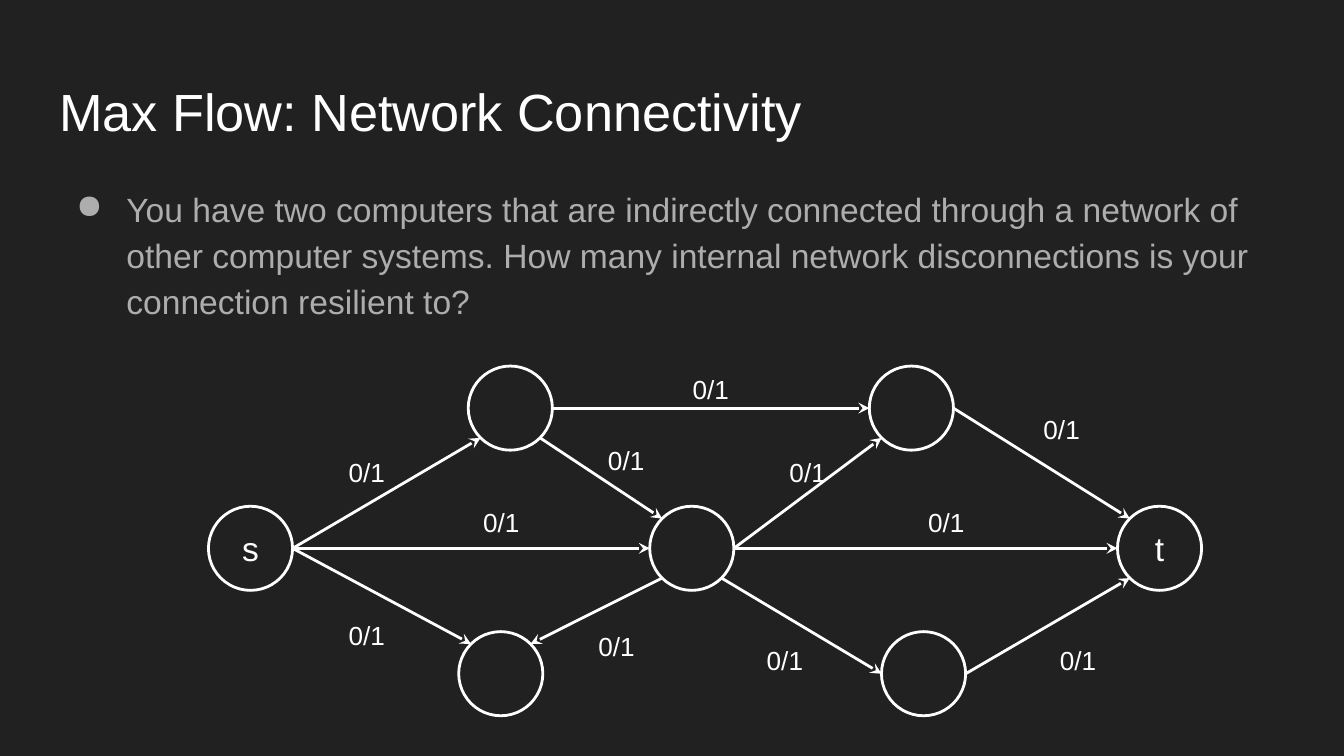
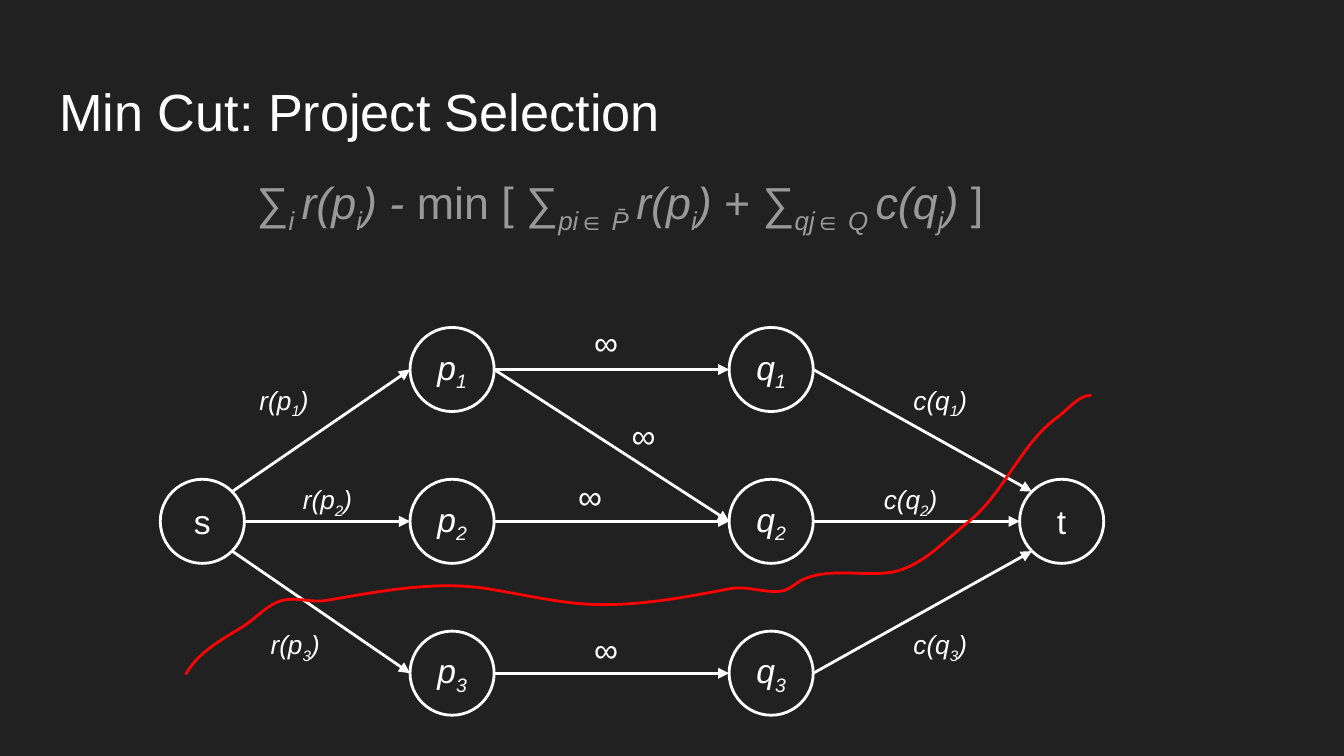
from math import cos, sin, pi
from lxml.etree import SubElement as Sub
from pptx import Presentation as Deck
from pptx.dml.color import RGBColor as RGB
from pptx.enum.shapes import MSO_CONNECTOR as Link, MSO_SHAPE as Kind
from pptx.enum.text import MSO_ANCHOR as Anchor, PP_ALIGN as Align
from pptx.oxml.ns import qn
from pptx.util import Cm, Pt

DARK = RGB(0x21, 0x21, 0x21)
WHITE = RGB(0xFF, 0xFF, 0xFF)
PALE = RGB(0xAD, 0xAD, 0xAD)
GRAY = RGB(0x99, 0x99, 0x99)
RED = RGB(0xFF, 0x00, 0x00)

SIZE = 1.59
INSET = Cm(0.25)
FRAME = {"word_wrap": True, "margin_left": INSET, "margin_right": INSET,
         "margin_top": INSET, "margin_bottom": INSET}
TURN = {"E": 0, "SE": 1, "SW": 3, "W": 4, "NW": 5, "NE": 7}


def assign(item, form):
    for key, value in form.items():
        setattr(item, key, value)


def write(shape, runs, size, color=WHITE, align=Align.LEFT, anchor=Anchor.TOP):
    frame = shape.text_frame
    assign(frame, {**FRAME, "vertical_anchor": anchor})
    para = frame.paragraphs[0]
    para.alignment = align
    for text, marks in runs:
        run = para.add_run()
        run.text = text
        assign(run.font, {"name": "Arial", "size": Pt(size), "italic": "i" in marks})
        run.font.color.rgb = color
        if "_" in marks:
            run.font._element.set("baseline", "-25000")
    return para


def put(shapes, box, runs, size, **form):
    return write(shapes.add_textbox(*map(Cm, box)), runs, size, **form)


def lower(head, num, tail=""):
    runs = [(head, "i"), (str(num), "i_")]
    return runs + [(tail, "i")] if tail else runs


def start(deck, title):
    slide = deck.slides.add_slide(deck.slide_layouts[6])
    slide.background.fill.solid()
    slide.background.fill.fore_color.rgb = DARK
    put(slide.shapes, (0.87, 1.24, 23.67, 1.59), [(title, "")], 28)
    return slide.shapes


def bullet(para):
    para.line_spacing = 1.15
    props = para._p.get_or_add_pPr()
    props.set("marL", str(Cm(1.27)))
    props.set("indent", str(Cm(-0.95)))
    Sub(Sub(props, qn("a:buClr")), qn("a:srgbClr"), val=str(PALE))
    Sub(props, qn("a:buChar"), char="●")


def stroke(item, color=WHITE):
    item.line.color.rgb = color
    item.line.width = Pt(1.5)


def node(group, spot, runs):
    disc = group.add_shape(Kind.OVAL, *map(Cm, (*spot, SIZE, SIZE)))
    disc.shadow.inherit = False
    disc.fill.background()
    stroke(disc)
    if runs:
        write(disc, runs, 18, align=Align.CENTER, anchor=Anchor.MIDDLE)


def rim(spot, side):
    angle = TURN[side] * pi / 4
    half = SIZE / 2
    return (Cm(spot[0] + half + half * cos(angle)),
            Cm(spot[1] + half + half * sin(angle)))


def edge(group, tail, head, tip):
    line = group.add_connector(Link.STRAIGHT, *rim(*tail), *rim(*head))
    stroke(line)
    Sub(line.line._get_or_add_ln(), qn("a:tailEnd"), type=tip)
    Sub(line._element.spPr, qn("a:effectLst"))


def graph(shapes, nodes, edges, tip):
    group = shapes.add_group_shape().shapes
    for spot, runs in nodes.values():
        node(group, spot, runs)
    for a, out, b, into in edges:
        edge(group, (nodes[a][0], out), (nodes[b][0], into), tip)
    return group


def curve(shapes, points):
    first, *rest = [tuple(map(Cm, point)) for point in points]
    pen = shapes.build_freeform(*first)
    pen.add_line_segments(rest, close=False)
    wave = pen.convert_to_shape()
    wave.shadow.inherit = False
    wave.fill.background()
    stroke(wave, RED)
    trail = next(wave._element.iter(qn("a:path")))
    for i, leg in enumerate(trail.findall(qn("a:lnTo"))):
        if i % 3 == 0:
            bend = Sub(trail, qn("a:cubicBezTo"))
        bend.append(leg[0])
        trail.remove(leg)


def flow(deck):
    shapes = start(deck, "Max Flow: Network Connectivity")
    text = ("You have two computers that are indirectly connected through a network "
            "of other computer systems. How many internal network disconnections "
            "is your connection resilient to?")
    bullet(put(shapes, (0.87, 3.2, 23.67, 3.23), [(text, "")], 18, color=PALE))
    high, mid, low = 6.92, 9.57, 11.94
    nodes = {
        "s": ((3.94, mid), [("s", "")]),
        "a": ((8.85, high), []),
        "b": ((8.67, low), []),
        "c": ((12.28, mid), []),
        "d": ((16.43, high), []),
        "e": ((16.66, low), []),
        "t": ((21.12, mid), [("t", "")]),
    }
    edges = [
        ("s", "E", "a", "SW"), ("s", "E", "c", "W"), ("a", "SE", "c", "NW"),
        ("a", "E", "d", "W"), ("c", "SW", "b", "NE"), ("c", "SE", "e", "W"),
        ("c", "E", "d", "SW"), ("e", "E", "t", "SW"), ("d", "E", "t", "NW"),
        ("c", "E", "t", "W"), ("s", "E", "b", "NW"),
    ]
    group = graph(shapes, nodes, edges, "stealth")
    spots = [
        (6.3, 8.38), (8.84, 9.32), (6.3, 11.46), (11.02, 11.66),
        (12.8, 6.81), (19.43, 7.57), (14.63, 8.38), (17.25, 9.32),
        (14.2, 11.94), (19.74, 11.94), (11.2, 8.15),
    ]
    for spot in spots:
        put(group, (*spot, 1.27, 0.79), [("0/1", "")], 14, align=Align.CENTER)


def cut(deck):
    shapes = start(deck, "Min Cut: Project Selection")
    rows = [6.19 + 2.87 * i for i in range(3)]
    nodes = {"s": ((3.03, rows[1]), [("s", "")]),
             "t": ((19.27, rows[1]), [("t", "")])}
    edges = [("p1", "E", "q2", "W")]
    ends = [("NE", "NW"), ("E", "W"), ("SE", "SW")]
    for num, (top, (out, into)) in enumerate(zip(rows, ends), 1):
        p, q = f"p{num}", f"q{num}"
        nodes[p] = ((7.75, top), lower("p", num))
        nodes[q] = ((13.78, top), lower("q", num))
        edges += [("s", out, p, "W"), (p, "E", q, "W"), (q, "E", "t", into)]
    group = graph(shapes, nodes, edges, "triangle")
    for spot in [(10.54, 5.84), (11.25, 7.59), (10.24, 8.74), (10.54, 11.63)]:
        put(group, (*spot, 1.83, 1.3), [("∞", "")], 18, align=Align.CENTER)
    spots = [(4.39, 16.79, 7.01), (5.21, 16.23, 8.89), (4.6, 16.79, 11.63)]
    for num, (left, right, top) in enumerate(spots, 1):
        for head, x in (("r(p", left), ("c(q", right)):
            put(group, (x, top, 1.96, 0.79), lower(head, num, ")"), 14,
                align=Align.CENTER)
    sums = [
        ("∑", ""), ("i ", "i_"), *lower("r(p", "i", ") - "),
        ("min [ ∑", ""), ("pi∈ P̄ ", "i_"), *lower("r(p", "i", ")"),
        (" + ∑", ""), ("qj∈ Q ", "i_"), *lower("c(q", "j", ")"), (" ]", ""),
    ]
    put(shapes, (4.6, 3.05, 15.49, 1.8), sums, 24, color=GRAY)
    curve(shapes, [
        (3.51, 12.75),
        (3.73, 12.34), (4.19, 12.09), (4.6, 11.84),
        (4.85, 11.68), (5.05, 11.43), (5.33, 11.35),
        (5.59, 11.28), (5.89, 11.4), (6.17, 11.35),
        (7.16, 11.18), (8.23, 10.97), (9.22, 11.13),
        (9.96, 11.25), (10.67, 11.43), (11.4, 11.43),
        (12.22, 11.43), (13, 11.28), (13.79, 11.13),
        (14.1, 11.07), (14.4, 11.2), (14.71, 11.18),
        (14.88, 11.18), (15.01, 11.05), (15.14, 10.97),
        (15.65, 10.72), (16.28, 10.9), (16.84, 10.82),
        (17.42, 10.72), (17.86, 10.21), (18.31, 9.86),
        (18.97, 9.32), (19.28, 8.43), (19.94, 7.92),
        (20.17, 7.77), (20.37, 7.47), (20.62, 7.47),
    ])


def main():
    deck = Deck()
    assign(deck, {"slide_width": Cm(25.4), "slide_height": Cm(14.29)})
    flow(deck)
    cut(deck)
    deck.save("out.pptx")


if __name__ == "__main__":
    main()
